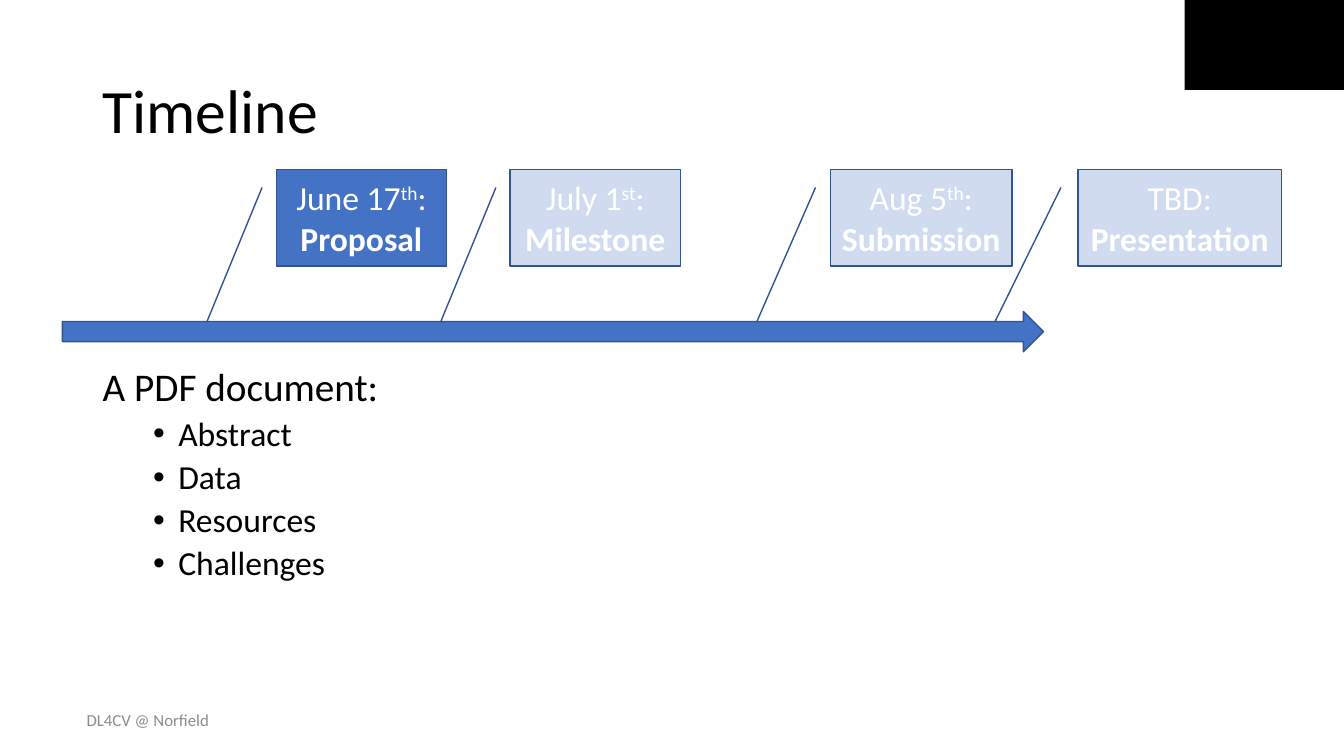
from dataclasses import dataclass

from lxml.etree import SubElement
from pptx import Presentation
from pptx.dml.color import RGBColor
from pptx.enum.shapes import MSO_SHAPE
from pptx.enum.text import MSO_ANCHOR, PP_ALIGN
from pptx.oxml.ns import qn
from pptx.util import Inches, Pt


@dataclass(frozen=True)
class Theme:
    """Colours, type sizes and font of the slide."""
    font: str = "Calibri"
    ink: str = "000000"
    accent: str = "4472C4"
    outline: str = "325491"
    light: str = "FFFFFF"
    muted: str = "8C8C8C"
    title: int = 44
    lead: int = 28
    detail: int = 24
    footer: int = 12


THEME = Theme()
WIDTH, HEIGHT = Inches(13.33), Inches(7.5)
COLUMN, ROW = WIDTH / 100, HEIGHT / 100
MILESTONE_TOP, MILESTONE_HEIGHT = 22.4, 12.8
CALLOUT_LEADER = (0.188, -0.083, 1.581, -0.408)
FADED = 25
MILESTONES = [
    (20.55, 12.68, "June 17", "th", "Proposal", 100),
    (37.95, 12.68, "July 1", "st", "Milestone", FADED),
    (61.8, 13.5, "Aug 5", "th", "Submission", FADED),
    (80.2, 15.15, "TBD", "", "Presentation", FADED),
]
CONTENTS = ["Abstract", "Data", "Resources", "Challenges"]


def apply(target, formats):
    """Set every attribute in formats on target."""
    for attribute, value in formats.items():
        setattr(target, attribute, value)


def place(left, top, width, height):
    """Turn grid columns and rows into slide lengths."""
    return (round(left * COLUMN), round(top * ROW),
            round(width * COLUMN), round(height * ROW))


def add_run(paragraph, text, size, color, bold=False, raised=False):
    """Add one styled run, raised for an ordinal suffix."""
    run = paragraph.add_run()
    run.text = text
    apply(run.font, {"name": THEME.font, "size": Pt(size), "bold": bold})
    run.font.color.rgb = RGBColor.from_string(color)
    if raised:
        run.font._element.set("baseline", "30000")


def add_block(slide, area, anchor):
    """Add a wrapping text box and return its frame."""
    frame = slide.shapes.add_textbox(*place(*area)).text_frame
    apply(frame, {"word_wrap": True, "vertical_anchor": anchor})
    return frame


def add_solid(slide, preset, area, fill, outline=None, opacity=100):
    """Add a flat preset shape with optional outline and opacity."""
    shape = slide.shapes.add_shape(preset, *place(*area))
    shape.shadow.inherit = False
    shape.fill.solid()
    shape.fill.fore_color.rgb = RGBColor.from_string(fill)
    if opacity < 100:
        color = shape.fill._xPr.find(qn("a:solidFill"))[0]
        SubElement(color, qn("a:alpha")).set("val", str(opacity * 1000))
    if outline:
        shape.line.color.rgb = RGBColor.from_string(outline)
        shape.line.width = Pt(1)
    else:
        shape.line.fill.background()
    return shape


def add_milestone(slide, left, width, date, suffix, stage, opacity):
    """Add a callout that ties a dated stage to the time arrow."""
    area = (left, MILESTONE_TOP, width, MILESTONE_HEIGHT)
    callout = add_solid(slide, MSO_SHAPE.LINE_CALLOUT_1, area,
                        THEME.accent, THEME.outline, opacity)
    for index, value in enumerate(CALLOUT_LEADER):
        callout.adjustments[index] = value
    frame = callout.text_frame
    apply(frame, {"word_wrap": True, "vertical_anchor": MSO_ANCHOR.MIDDLE})
    label = frame.paragraphs[0]
    label.alignment = PP_ALIGN.CENTER
    style = (THEME.detail, THEME.light)
    if suffix:
        add_run(label, date, *style)
        add_run(label, suffix, *style, raised=True)
        add_run(label, ":", *style)
    else:
        add_run(label, f"{date}:", *style)
    label.add_line_break()
    add_run(label, stage, *style, bold=True)


def add_bullet(paragraph):
    """Give a paragraph a hanging round bullet."""
    properties = paragraph._p.get_or_add_pPr()
    properties.set("marL", str(Inches(0.75)))
    properties.set("indent", str(Inches(-0.25)))
    SubElement(properties, qn("a:buFont")).set("typeface", "Arial")
    SubElement(properties, qn("a:buChar")).set("char", "•")


def add_contents(slide, heading, entries):
    """Add the document heading and its bulleted parts."""
    frame = add_block(slide, (6.9, 48, 86.25, 44.5), MSO_ANCHOR.TOP)
    lead = frame.paragraphs[0]
    apply(lead, {"line_spacing": 0.9, "space_before": Pt(10)})
    add_run(lead, heading, THEME.lead, THEME.ink)
    for entry in entries:
        bullet = frame.add_paragraph()
        apply(bullet, {"level": 1, "line_spacing": 0.9, "space_before": Pt(5)})
        add_bullet(bullet)
        add_run(bullet, entry, THEME.detail, THEME.ink)


def add_line_of_text(slide, area, text, size, color, formats):
    """Add a single vertically centred line of text."""
    line = add_block(slide, area, MSO_ANCHOR.MIDDLE).paragraphs[0]
    apply(line, formats)
    add_run(line, text, size, color)


def main():
    """Build the timeline slide and save it."""
    deck = Presentation()
    apply(deck, {"slide_width": WIDTH, "slide_height": HEIGHT})
    slide = deck.slides.add_slide(deck.slide_layouts[6])
    add_solid(slide, MSO_SHAPE.RECTANGLE, (88.15, 0, 11.85, 11.9), THEME.ink)
    add_line_of_text(slide, (6.9, 5.33, 86.25, 19.33), "Timeline",
                     THEME.title, THEME.ink, {"line_spacing": 0.9})
    add_contents(slide, "A PDF document:", CONTENTS)
    add_line_of_text(slide, (5, 92.5, 12, 5.33), "DL4CV @ Norfield",
                     THEME.footer, THEME.muted, {"alignment": PP_ALIGN.CENTER})
    add_solid(slide, MSO_SHAPE.RIGHT_ARROW, (4.65, 41.2, 73, 5.33),
              THEME.accent, THEME.outline)
    for milestone in MILESTONES:
        add_milestone(slide, *milestone)
    deck.save("out.pptx")


if __name__ == "__main__":
    main()
